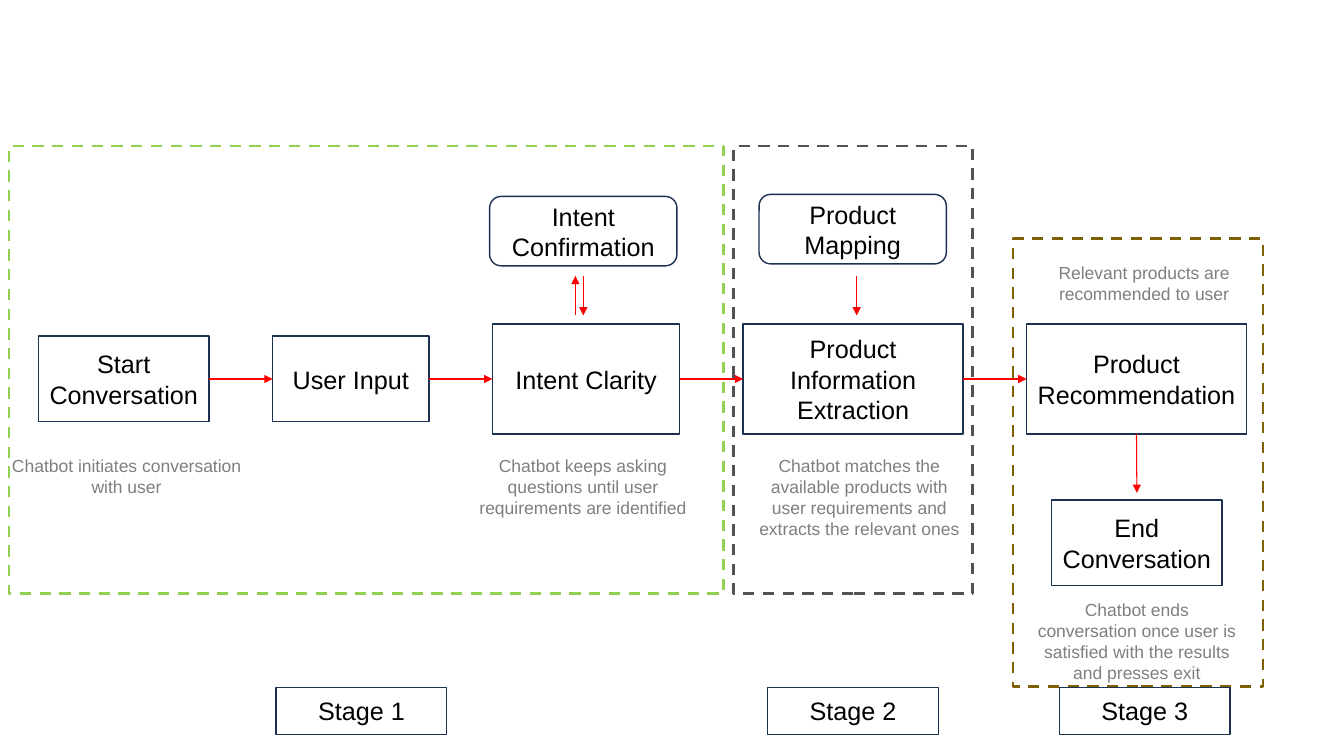
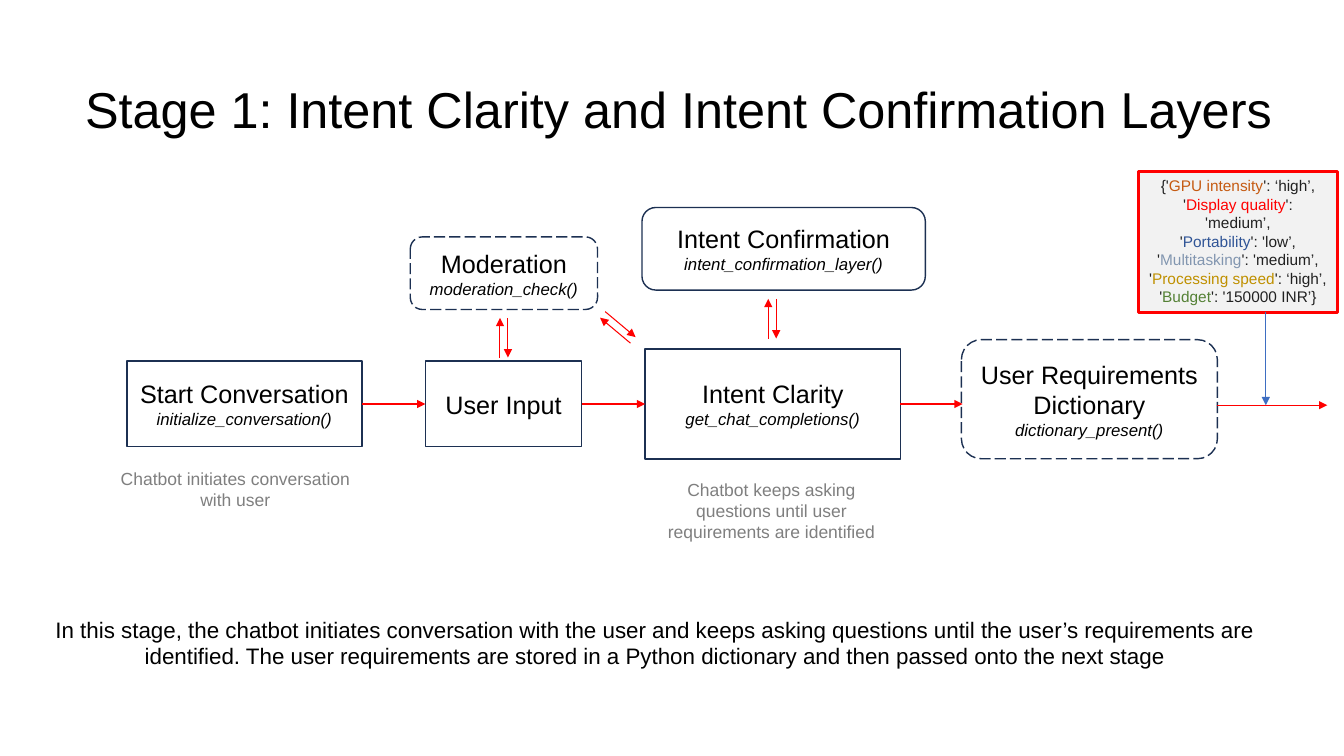
from dataclasses import dataclass
from math import cos, radians, sin
from typing import Optional

from lxml.etree import SubElement
from pptx import Presentation
from pptx.dml.color import RGBColor as RGB
from pptx.enum.dml import MSO_LINE_DASH_STYLE as Dash
from pptx.enum.shapes import MSO_CONNECTOR as Conn, MSO_SHAPE as Kind
from pptx.enum.text import MSO_ANCHOR as Anchor, MSO_AUTO_SIZE as AutoSize, PP_ALIGN as Align
from pptx.oxml.ns import qn
from pptx.shapes.autoshape import Shape
from pptx.shapes.connector import Connector
from pptx.slide import Slide
from pptx.text.text import TextFrame
from pptx.util import Cm, Pt


@dataclass(frozen=True)
class Theme:
    font: str = "Arial"
    text: str = "000000"
    caption: str = "7F7F7F"
    code: str = "212121"
    outline: str = "1C3052"
    arrow: str = "FF0000"
    blue_arrow: str = "3E6EC2"
    callout: str = "F2F2F2"
    stages: tuple = ("92D050", "525252", "7F6000")
    entries: tuple = ("C55A11", "FF0000", "2F5496", "8296B0", "BF9000", "548135")
    title_pt: float = 36
    node_pt: float = 18
    body_pt: float = 16
    caption_pt: float = 12.5
    func_pt: float = 12
    code_pt: float = 11
    box_line: float = 1
    frame_line: float = 2
    callout_line: float = 2.25
    arrow_line: float = 0.75


T = Theme()
GAP = 1.6
TOP, LEFT, BOTTOM, RIGHT = range(4)


@dataclass(frozen=True)
class Run:
    text: str
    size: float = T.node_pt
    color: str = T.text
    italic: bool = False


@dataclass(frozen=True)
class Box:
    x: float
    y: float
    w: float
    h: float


@dataclass(frozen=True)
class Node:
    w: float
    h: float
    label: str
    func: str = ""


@dataclass(frozen=True)
class Caption:
    box: Box
    text: str


Paras = list[list[Run]]


def node_text(label: str, func: str = "") -> Paras:
    paras = [[Run(line)] for line in label.split("\n")]
    if func:
        paras.append([Run(func, T.func_pt, italic=True)])
    return paras


def write(tf: TextFrame, paras: Paras, anchor: Anchor = Anchor.MIDDLE) -> None:
    tf.word_wrap = True
    tf.vertical_anchor = anchor
    for i, runs in enumerate(paras):
        p = tf.paragraphs[0] if i == 0 else tf.add_paragraph()
        p.alignment = Align.CENTER
        for run in runs:
            r = p.add_run()
            r.text = run.text
            r.font.name = T.font
            r.font.size = Pt(run.size)
            r.font.italic = run.italic
            r.font.color.rgb = RGB.from_string(run.color)


def add_box(s: Slide, b: Box, paras: Paras, kind: Kind = Kind.RECTANGLE,
            line: str = T.outline, width: float = T.box_line,
            dash: Optional[Dash] = None, fill: Optional[str] = None,
            anchor: Anchor = Anchor.MIDDLE) -> Shape:
    sp = s.shapes.add_shape(kind, Cm(b.x), Cm(b.y), Cm(b.w), Cm(b.h))
    sp.shadow.inherit = False
    if fill:
        sp.fill.solid()
        sp.fill.fore_color.rgb = RGB.from_string(fill)
    else:
        sp.fill.background()
    sp.line.color.rgb = RGB.from_string(line)
    sp.line.width = Pt(width)
    if dash:
        sp.line.dash_style = dash
    write(sp.text_frame, paras, anchor)
    return sp


def add_text(s: Slide, b: Box, run: Run, anchor: Anchor = Anchor.TOP) -> Shape:
    sp = s.shapes.add_textbox(Cm(b.x), Cm(b.y), Cm(b.w), Cm(b.h))
    write(sp.text_frame, [[run]], anchor)
    return sp


def add_captions(s: Slide, captions: list[Caption]) -> None:
    for c in captions:
        sp = add_text(s, c.box, Run(c.text, T.caption_pt, T.caption))
        sp.text_frame.auto_size = AutoSize.SHAPE_TO_FIT_TEXT


def add_arrow(shapes, x1: float, y1: float, x2: float, y2: float,
              color: str = T.arrow) -> Connector:
    c = shapes.add_connector(Conn.STRAIGHT, Cm(x1), Cm(y1), Cm(x2), Cm(y2))
    c.line.color.rgb = RGB.from_string(color)
    c.line.width = Pt(T.arrow_line)
    SubElement(c.line._get_or_add_ln(), qn("a:tailEnd"), type="triangle")
    SubElement(c._element.spPr, qn("a:effectLst"))
    return c


def add_arrow_pair(s: Slide, cx: float, cy: float, degrees: float = 0) -> None:
    group = s.shapes.add_group_shape()
    a = radians(degrees)
    half, offset = 0.5, 0.1
    for side in (-1, 1):
        mx, my = cx + side * offset * cos(a), cy + side * offset * sin(a)
        dx, dy = -side * half * sin(a), side * half * cos(a)
        add_arrow(group.shapes, mx - dx, my - dy, mx + dx, my + dy)


def add_flow(s: Slide, x: float, middle: float, nodes: list[Node]) -> list[Shape]:
    boxes: list[Shape] = []
    for n in nodes:
        sp = add_box(s, Box(x, middle - n.h / 2, n.w, n.h), node_text(n.label, n.func))
        if boxes:
            c = add_arrow(s.shapes, x - GAP, middle, x, middle)
            c.begin_connect(boxes[-1], RIGHT)
            c.end_connect(sp, LEFT)
        boxes.append(sp)
        x += n.w + GAP
    return boxes


def build_overview(s: Slide) -> None:
    flow = add_flow(s, 0.97, 9.55, [
        Node(4.3, 2.16, "Start Conversation"),
        Node(3.94, 2.16, "User Input"),
        Node(4.72, 2.77, "Intent Clarity"),
        Node(5.54, 2.77, "Product Information Extraction"),
        Node(5.54, 2.77, "Product Recommendation"),
    ])
    for b, label in ((Box(12.34, 4.95, 4.72, 1.75), "Intent Confirmation"),
                     (Box(19.13, 4.9, 4.72, 1.75), "Product Mapping")):
        add_box(s, b, node_text(label), Kind.ROUNDED_RECTANGLE)
    add_box(s, Box(26.5, 12.6, 4.3, 2.16), node_text("End\nConversation"))
    add_arrow(s.shapes, 28.65, 10.93, 28.65, 12.42).begin_connect(flow[-1], BOTTOM)
    add_arrow(s.shapes, 21.59, 6.96, 21.59, 7.95)
    add_arrow_pair(s, 14.6, 7.45)
    add_captions(s, [
        Caption(Box(0, 11.33, 6.38, 1.32), "Chatbot initiates conversation with user"),
        Caption(Box(11.63, 11.33, 6.12, 1.88),
                "Chatbot keeps asking questions until user requirements are identified"),
        Caption(Box(18.77, 11.33, 5.77, 2.39),
                "Chatbot matches the available products with user requirements "
                "and extracts the relevant ones"),
        Caption(Box(26.06, 6.48, 5.54, 1.32), "Relevant products are recommended to user"),
        Caption(Box(25.88, 14.96, 5.54, 2.92),
                "Chatbot ends conversation once user is satisfied with the results "
                "and presses exit"),
    ])
    frames = (Box(0.23, 3.68, 18.01, 11.28), Box(18.49, 3.68, 6.02, 11.28),
              Box(25.53, 6.02, 6.3, 11.28))
    for i, (frame, color, x) in enumerate(zip(frames, T.stages, (6.96, 19.35, 26.7)), 1):
        add_box(s, frame, [], line=color, width=T.frame_line, dash=Dash.DASH)
        add_box(s, Box(x, 17.32, 4.3, 1.19), node_text(f"Stage {i}"))


def build_stage_one(s: Slide) -> None:
    add_text(s, Box(0.35, 0.99, 33.52, 3.68),
             Run("Stage 1: Intent Clarity and Intent Confirmation Layers", T.title_pt),
             Anchor.MIDDLE).text_frame.paragraphs[0].line_spacing = 0.9
    flow = add_flow(s, 3.2, 10.18, [
        Node(5.92, 2.16, "Start Conversation", "initialize_conversation()"),
        Node(3.94, 2.16, "User Input"),
        Node(6.43, 2.77, "Intent Clarity", "get_chat_completions()"),
    ])
    for b, label, func, dash in (
        (Box(16.18, 5.23, 7.14, 2.08), "Intent Confirmation", "intent_confirmation_layer()", None),
        (Box(10.34, 5.97, 4.72, 1.83), "Moderation", "moderation_check()", Dash.LONG_DASH),
        (Box(24.23, 8.56, 6.45, 3), "User Requirements Dictionary", "dictionary_present()",
         Dash.LONG_DASH),
    ):
        add_box(s, b, node_text(label, func), Kind.ROUNDED_RECTANGLE, dash=dash)
    add_arrow(s.shapes, 22.69, 10.18, 24.26, 10.18).begin_connect(flow[-1], RIGHT)
    for cx, cy, degrees in ((19.46, 8.03, 0), (12.7, 8.51, 0), (15.57, 8.25, -50)):
        add_arrow_pair(s, cx, cy, degrees)
    add_captions(s, [
        Caption(Box(2.74, 11.66, 6.38, 1.32), "Chatbot initiates conversation with user"),
        Caption(Box(16.38, 11.94, 6.12, 1.88),
                "Chatbot keeps asking questions until user requirements are identified"),
    ])
    entries = (("{'", "GPU intensity", "': ‘high’,"), ("'", "Display quality", "': 'medium’,"),
               ("'", "Portability", "': 'low’,"), ("'", "Multitasking", "': 'medium’,"),
               ("'", "Processing speed", "': ‘high’,"), ("'", "Budget", "': '150000 INR’}"))
    paras = [[Run(text, T.code_pt, color) for text, color in zip(entry, (T.code, key, T.code))]
             for entry, key in zip(entries, T.entries)]
    callout = add_box(s, Box(28.7, 4.32, 5, 3.56), paras, line=T.arrow, width=T.callout_line,
                      fill=T.callout, anchor=Anchor.TOP)
    callout.text_frame.auto_size = AutoSize.SHAPE_TO_FIT_TEXT
    add_arrow(s.shapes, 30.66, 10.21, 33.45, 10.21)
    add_arrow(s.shapes, 31.9, 7.85, 31.9, 10.21, T.blue_arrow)
    add_text(s, Box(0.81, 15.39, 31.39, 1.63), Run(
        "In this stage, the chatbot initiates conversation with the user and keeps asking "
        "questions until the user’s requirements are identified. The user requirements are "
        "stored in a Python dictionary and then passed onto the next stage", T.body_pt))


def main() -> None:
    prs = Presentation()
    prs.slide_width, prs.slide_height = Cm(33.87), Cm(19.05)
    for build in (build_overview, build_stage_one):
        build(prs.slides.add_slide(prs.slide_layouts[6]))
    prs.save("out.pptx")


if __name__ == "__main__":
    main()
